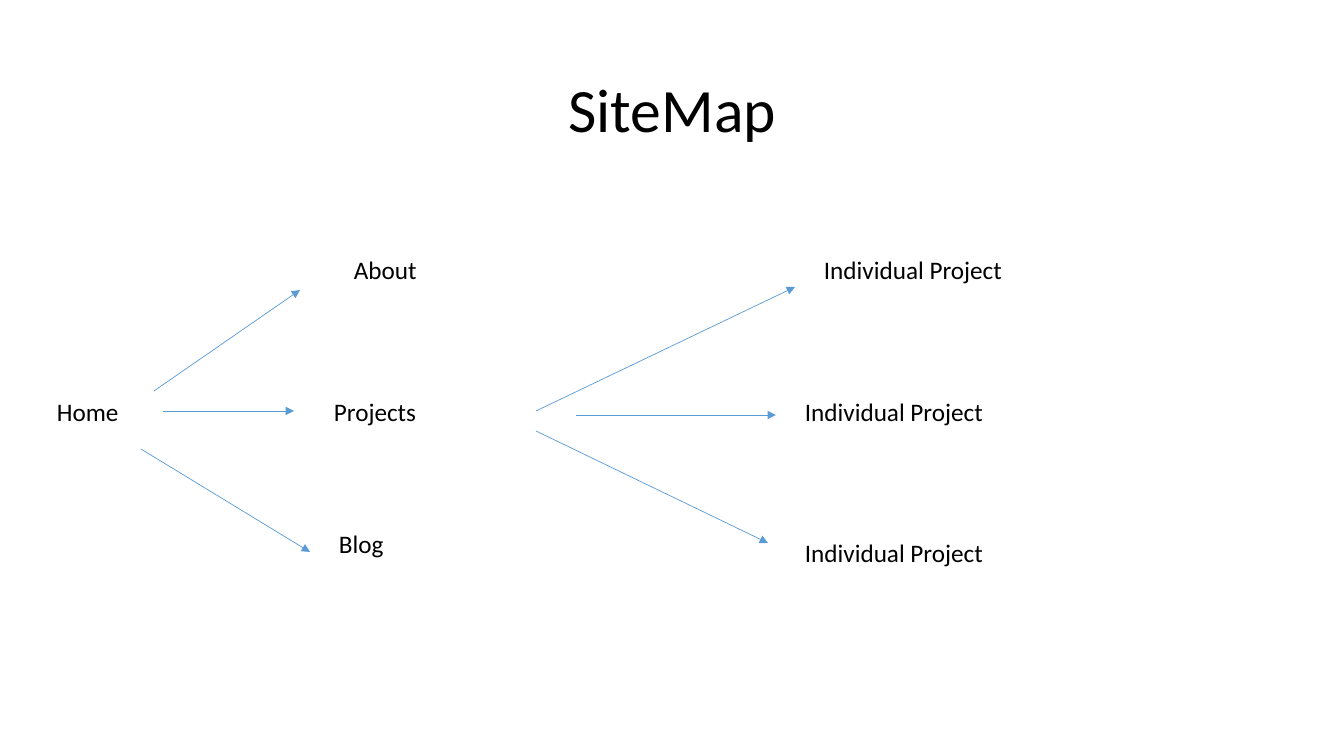
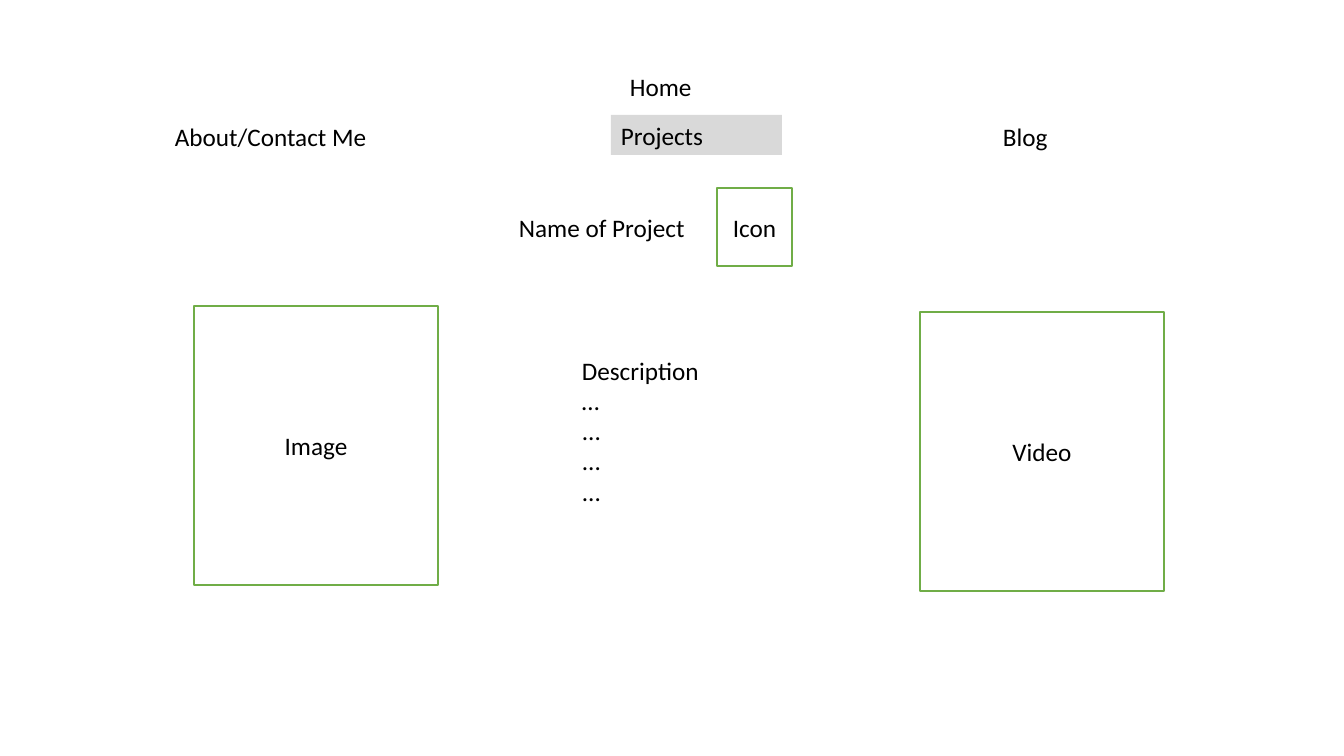
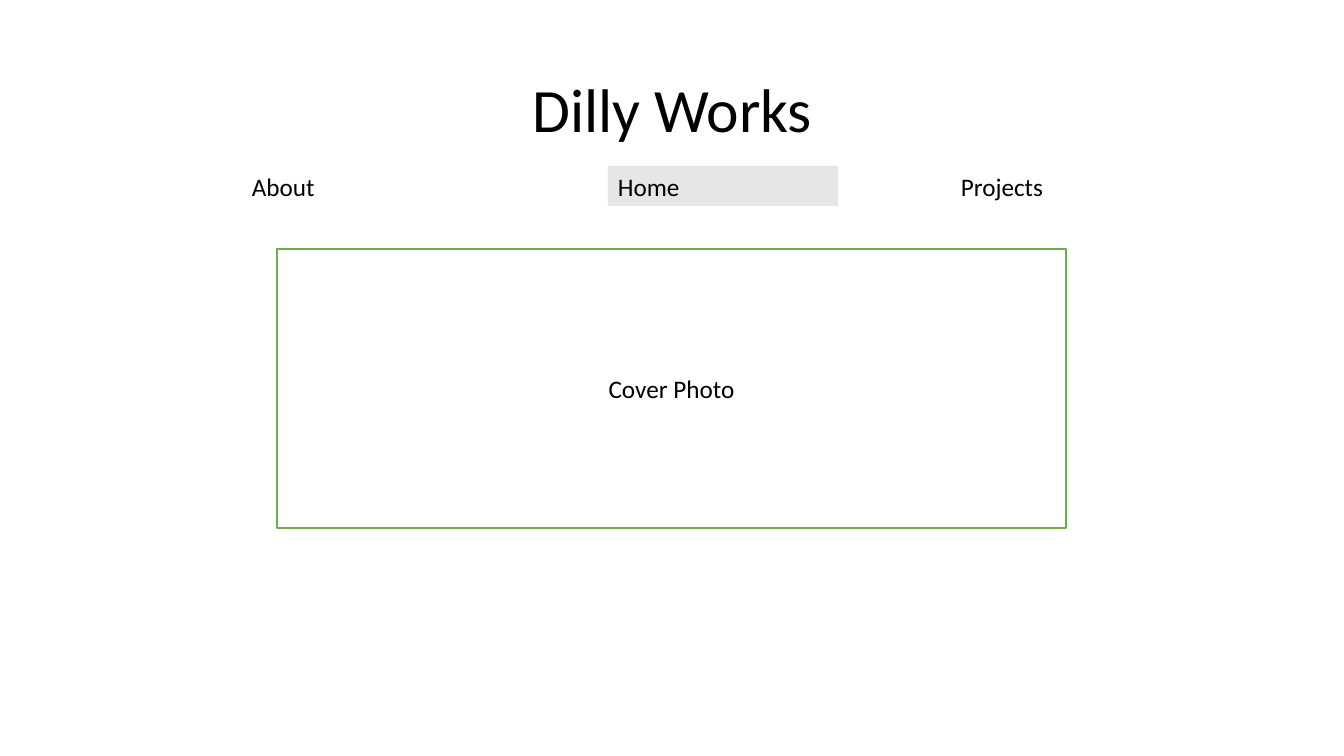
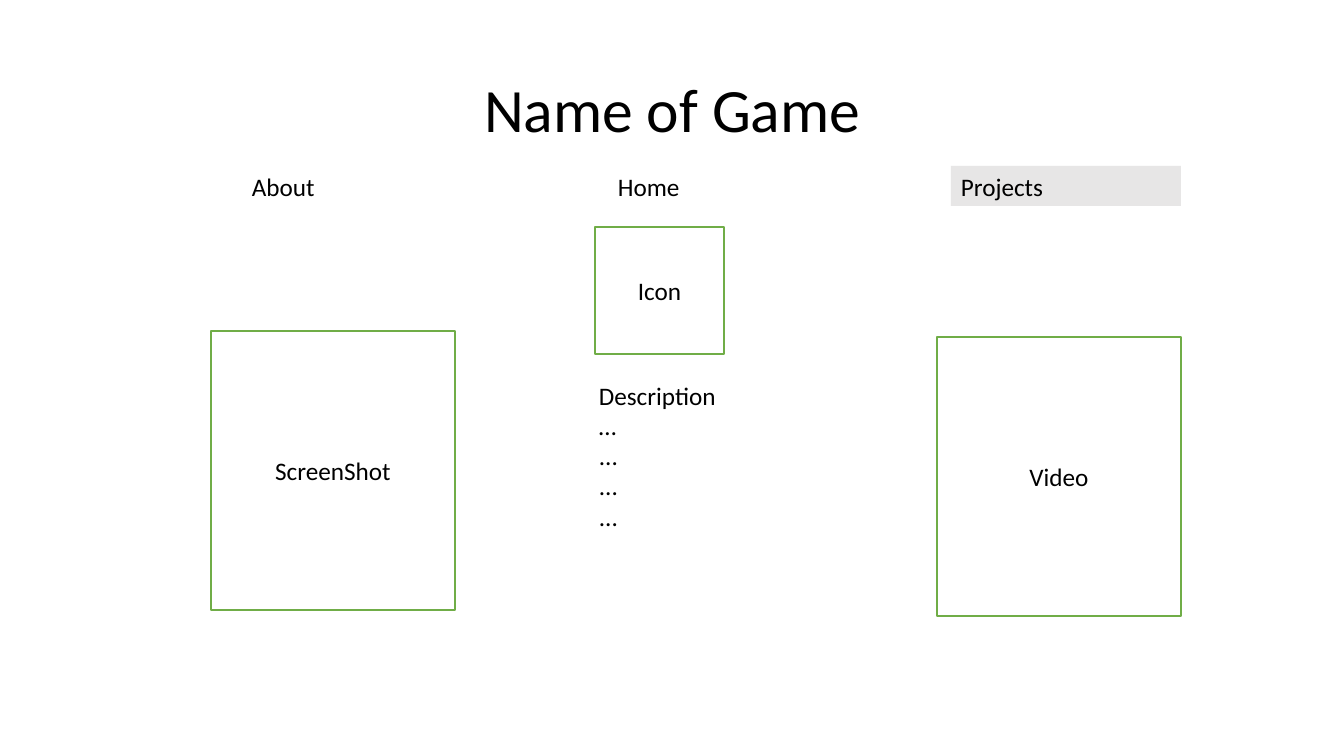
import dataclasses
import typing

import lxml.etree
import pptx
import pptx.dml.color
import pptx.enum.shapes
import pptx.enum.text
import pptx.oxml.ns
import pptx.slide
import pptx.text.text
import pptx.util

# Shared look
SCALE = 914400 / 100.8
FONT = "Calibri"
BLACK, WHITE = "000000", "FFFFFF"
GREY, PALE = "D9D9D9", "E7E6E6"
GREEN, BLUE = "70AD47", "5B9BD5"
ROW = 40
ANCHOR = pptx.enum.text.MSO_ANCHOR
ALIGN = pptx.enum.text.PP_ALIGN
FIT = pptx.enum.text.MSO_AUTO_SIZE

LABEL = {"frame": {"word_wrap": True, "vertical_anchor": ANCHOR.TOP,
                   "auto_size": FIT.SHAPE_TO_FIT_TEXT},
         "para": {"alignment": ALIGN.LEFT},
         "font": {"name": FONT, "size": pptx.util.Pt(18)}}
CENTER = {"frame": {"word_wrap": True, "vertical_anchor": ANCHOR.MIDDLE},
          "para": {"alignment": ALIGN.CENTER},
          "font": {"name": FONT, "size": pptx.util.Pt(18)}}
TITLE = {"frame": CENTER["frame"],
         "para": {"alignment": ALIGN.CENTER, "line_spacing": 0.9},
         "font": {"name": FONT, "size": pptx.util.Pt(44)}}


@dataclasses.dataclass(frozen=True)
class Box:
    text: str
    left: int
    top: int
    width: int
    height: int = ROW
    fill: typing.Optional[str] = None
    line: typing.Optional[str] = None
    style: dict = dataclasses.field(default_factory=lambda: LABEL)


@dataclasses.dataclass(frozen=True)
class Arrow:
    left: int
    top: int
    right: int
    end: int


# Helpers
def emu(*pixels: int) -> list[int]:
    return [round(p * SCALE) for p in pixels]


def color(code: str) -> pptx.dml.color.RGBColor:
    return pptx.dml.color.RGBColor.from_string(code)


def apply(target: typing.Any, values: dict) -> None:
    for name, value in values.items():
        setattr(target, name, value)


def write(frame: pptx.text.text.TextFrame, text: str, style: dict) -> None:
    frame.text = text
    apply(frame, style["frame"])
    for para in frame.paragraphs:
        apply(para, style["para"])
        for run in para.runs:
            apply(run.font, style["font"])
            run.font.color.rgb = color(BLACK)


def draw(slide: pptx.slide.Slide, box: Box) -> None:
    area = emu(box.left, box.top, box.width, box.height)
    if box.fill is None:
        shape = slide.shapes.add_textbox(*area)
    else:
        kind = pptx.enum.shapes.MSO_SHAPE.RECTANGLE
        shape = slide.shapes.add_shape(kind, *area)
        shape.shadow.inherit = False
        shape.fill.solid()
        shape.fill.fore_color.rgb = color(box.fill)
        if box.line is None:
            shape.line.fill.background()
        else:
            shape.line.color.rgb = color(box.line)
            shape.line.width = pptx.util.Pt(1)
    write(shape.text_frame, box.text, box.style)


def point(slide: pptx.slide.Slide, arrow: Arrow) -> None:
    kind = pptx.enum.shapes.MSO_CONNECTOR.STRAIGHT
    ends = emu(arrow.left, arrow.top, arrow.right, arrow.end)
    link = slide.shapes.add_connector(kind, *ends)
    link.line.color.rgb = color(BLUE)
    link.line.width = pptx.util.Pt(0.5)
    qn = pptx.oxml.ns.qn
    tail = lxml.etree.SubElement(link.line._get_or_add_ln(), qn("a:tailEnd"))
    tail.set("type", "triangle")
    lxml.etree.SubElement(link._element.spPr, qn("a:effectLst"))


# Repeated parts
def title(text: str) -> Box:
    return Box(text, 93, 40, 1159, 146, style=TITLE)


def panel(text: str, left: int, top: int, width: int, height: int) -> Box:
    return Box(text, left, top, width, height, WHITE, GREEN, CENTER)


def menu(active: str) -> list[Box]:
    tabs = {"About": 242, "Home": 608, "Projects": 951}
    return [Box(name, left, 166, 230, fill=PALE if name == active else None)
            for name, left in tabs.items()]


def media(name: str, left: int, top: int) -> list[Box]:
    notes = "\n".join(["Description", "…"] + ["..."] * 3)
    return [Box(notes, left + 378, top + 44, 215, 194),
            panel(name, left, top, 244, 279),
            panel("Video", left + 726, top + 6, 244, 279)]


# Slide contents
SITE = [title("SiteMap"),
        Box("Home", 47, 391, 178),
        Box("About", 344, 249, 230),
        Box("Projects", 324, 391, 291),
        Box("Blog", 329, 523, 281),
        Box("Individual Project", 814, 249, 211),
        Box("Individual Project", 795, 391, 215),
        Box("Individual Project", 795, 532, 215)]
LINKS = [Arrow(163, 411, 294, 411),
         Arrow(154, 391, 300, 290),
         Arrow(141, 449, 310, 552),
         Arrow(536, 411, 795, 287),
         Arrow(576, 415, 776, 415),
         Arrow(536, 431, 768, 543)]
PROJECT = [Box("About/Contact Me", 165, 116, 236, fill=WHITE),
           Box("Home", 620, 66, 171),
           Box("Blog", 993, 116, 171),
           Box("Projects", 611, 115, 171, fill=GREY),
           panel("Icon", 717, 188, 75, 78),
           Box("Name of Project", 509, 207, 340),
           *media("Image", 194, 306)]
HOME = [title("Dilly Works"), *menu("Home"),
        panel("Cover Photo", 277, 249, 789, 279)]
GAME = [title("Name of Game"), *menu("Projects"),
        *media("ScreenShot", 211, 331),
        panel("Icon", 595, 227, 129, 127)]

# Build the deck
deck = pptx.Presentation()
deck.slide_width, deck.slide_height = emu(1344, 756)
for boxes, arrows in [(SITE, LINKS), (PROJECT, []), (HOME, []), (GAME, [])]:
    page = deck.slides.add_slide(deck.slide_layouts[6])
    for item in boxes:
        draw(page, item)
    for item in arrows:
        point(page, item)
deck.save("out.pptx")
